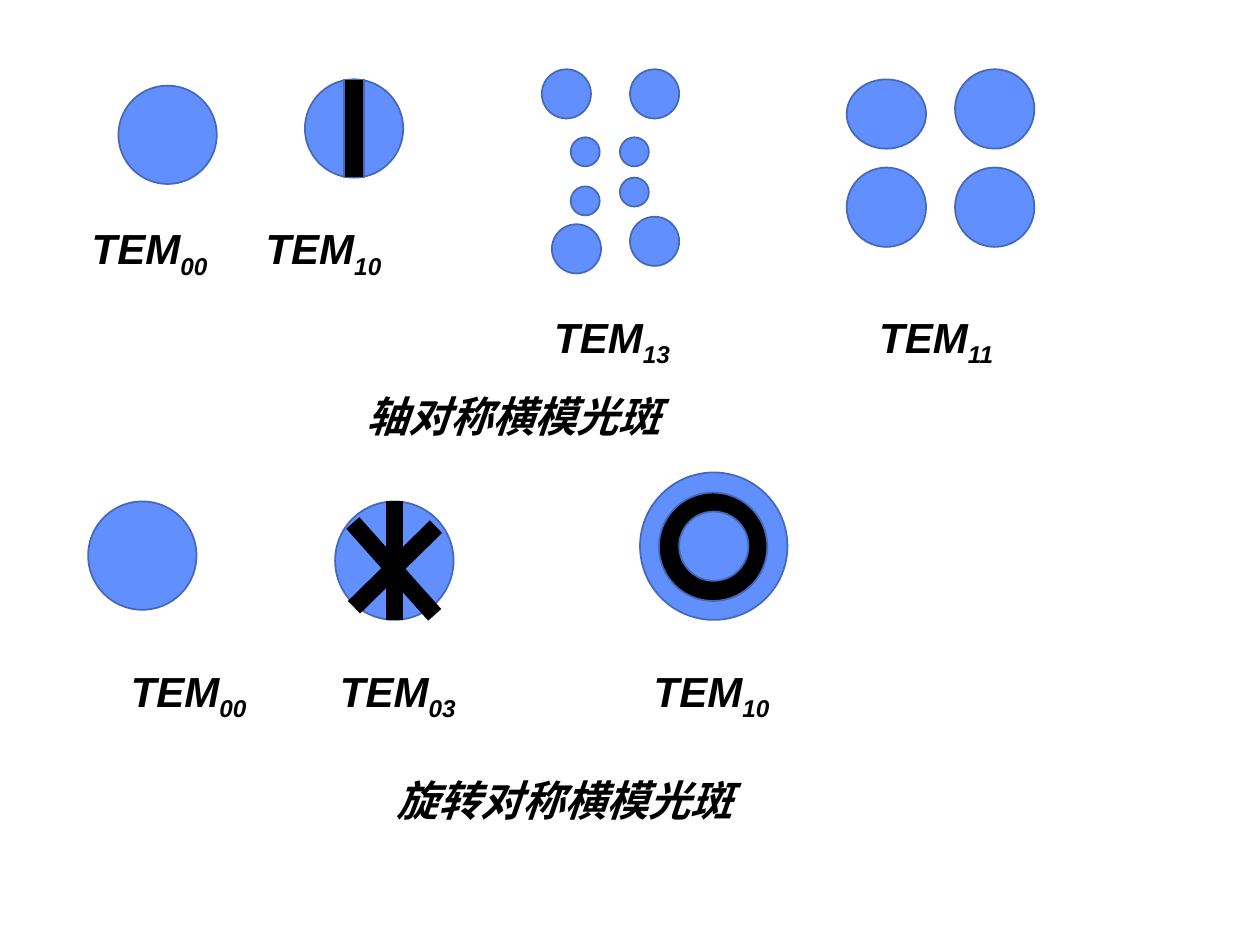
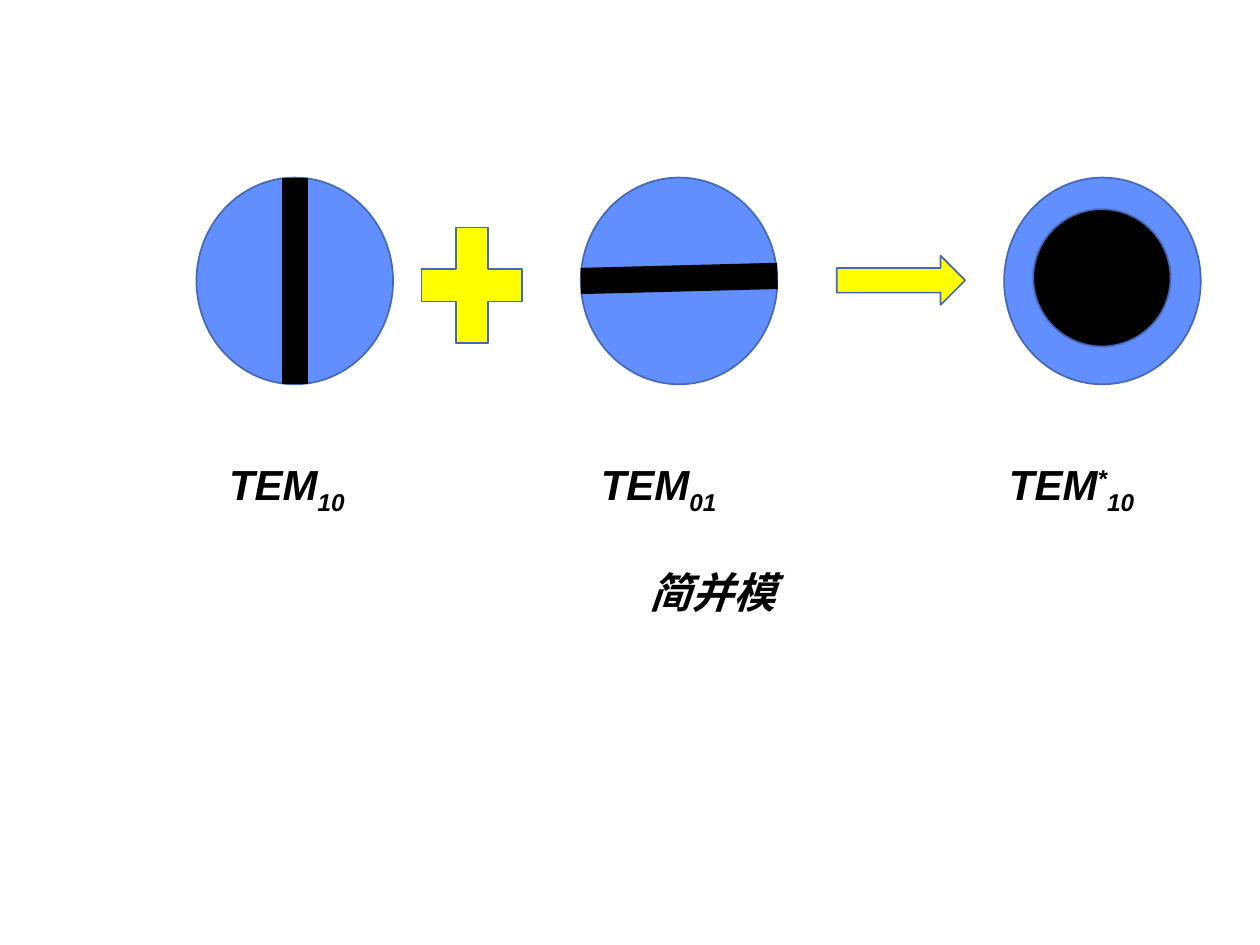
from lxml import etree
from pptx import Presentation
from pptx.dml.color import RGBColor
from pptx.enum.shapes import MSO_CONNECTOR, MSO_SHAPE
from pptx.oxml.ns import qn
from pptx.util import Inches, Pt

OVAL = MSO_SHAPE.OVAL
RECT = MSO_SHAPE.RECTANGLE
PLUS = MSO_SHAPE.MATH_PLUS
ARROW = MSO_SHAPE.RIGHT_ARROW
STRAIGHT = MSO_CONNECTOR.STRAIGHT

THEME = {
    "spot": RGBColor(0x61, 0x8F, 0xFD),
    "outline": RGBColor(0x45, 0x68, 0xBA),
    "dark": RGBColor(0, 0, 0),
    "sign": RGBColor(0xFF, 0xFF, 0),
    "font": "Arial",
    "size": Pt(24),
    "outline_width": Pt(1),
}
SUB, SUPER = -25, 30


def add_figure(s, kind, left, top, width, height, color="spot"):
    sp = s.shapes.add_shape(kind, Inches(left), Inches(top), Inches(width), Inches(height))
    sp.shadow.inherit = False
    sp.fill.solid()
    sp.fill.fore_color.rgb = THEME[color]
    sp.line.color.rgb = THEME["outline"]
    sp.line.width = THEME["outline_width"]


def add_label(s, left, top, width, runs):
    tb = s.shapes.add_textbox(Inches(left), Inches(top), Inches(width), Inches(0.5))
    tf = tb.text_frame
    tf.word_wrap = True
    p = tf.paragraphs[0]
    for text, baseline in runs:
        r = p.add_run()
        r.text = text
        r.font.name = THEME["font"]
        r.font.size = THEME["size"]
        r.font.bold = True
        r.font.italic = True
        r.font.color.rgb = THEME["dark"]
        if baseline:
            r.font._element.set("baseline", str(baseline * 1000))


prs = Presentation()
prs.slide_width = Inches(10)
prs.slide_height = Inches(7.5)
blank = prs.slide_layouts[6]

spots = prs.slides.add_slide(blank)

add_figure(spots, OVAL, 0.94, 0.68, 0.78, 0.78)
add_figure(spots, OVAL, 2.42, 0.63, 0.78, 0.78)
add_figure(spots, RECT, 2.73, 0.63, 0.16, 0.78, "dark")

for size, centers in [
    (0.39, [(4.3, 0.55), (5, 0.55), (4.38, 1.78), (5, 1.72)]),
    (0.23, [(4.53, 1.09), (4.92, 1.09), (4.53, 1.48), (4.92, 1.41)]),
]:
    for left, top in centers:
        add_figure(spots, OVAL, left, top, size, size)

for left, top, height in [(6.72, 0.63, 0.55), (7.58, 0.55, 0.63), (6.72, 1.33, 0.63), (7.58, 1.33, 0.63)]:
    add_figure(spots, OVAL, left, top, 0.63, height)

add_figure(spots, OVAL, 0.7, 3.98, 0.86, 0.86)
add_figure(spots, OVAL, 2.66, 3.98, 0.94, 0.94)

for left, top, size, color in [(5.08, 3.75, 1.17, "spot"), (5.23, 3.91, 0.86, "dark"), (5.39, 4.06, 0.55, "spot")]:
    add_figure(spots, OVAL, left, top, size, size, color)

degenerate = prs.slides.add_slide(blank)

for left in (1.56, 4.61, 7.97):
    add_figure(degenerate, OVAL, left, 1.41, 1.56, 1.64)
add_figure(degenerate, OVAL, 8.2, 1.66, 1.09, 1.09, "dark")
add_figure(degenerate, PLUS, 3.2, 1.64, 1.09, 1.25, "sign")
add_figure(degenerate, ARROW, 6.64, 2.03, 1.02, 0.39, "sign")

for s, width, nodal_lines in [
    (spots, 10, [(3.13, 3.98, 3.13, 4.92), (3.46, 4.18, 2.81, 4.82), (2.8, 4.15, 3.45, 4.88)]),
    (degenerate, 15, [(2.34, 1.41, 2.34, 3.05), (4.61, 2.23, 6.17, 2.19)]),
]:
    for ends in nodal_lines:
        line = s.shapes.add_connector(STRAIGHT, *[Inches(v) for v in ends])
        line.line.color.rgb = THEME["dark"]
        line.line.width = Pt(width)
        etree.SubElement(line._element.spPr, qn("a:effectLst"))

for s, top, modes in [
    (spots, 1.72, [(0.63, "00"), (2.01, "10")]),
    (spots, 2.42, [(4.3, "13"), (6.88, "11")]),
    (spots, 5.23, [(0.94, "00"), (2.6, "03"), (5.09, "10")]),
    (degenerate, 3.59, [(1.72, "10"), (4.67, "01")]),
]:
    for left, order in modes:
        add_label(s, left, top, 1.3, [("TEM", 0), (order, SUB)])
add_label(degenerate, 7.91, 3.59, 1.5, [("TEM", 0), ("*", SUPER), ("10", SUB)])

for s, left, top, caption in [
    (spots, 2.81, 3.05, "轴对称横模光斑"),
    (spots, 3.05, 6.1, "旋转对称横模光斑"),
    (degenerate, 5.06, 4.45, "简并模"),
]:
    add_label(s, left, top, 3.5, [(caption, 0)])

prs.save("out.pptx")
